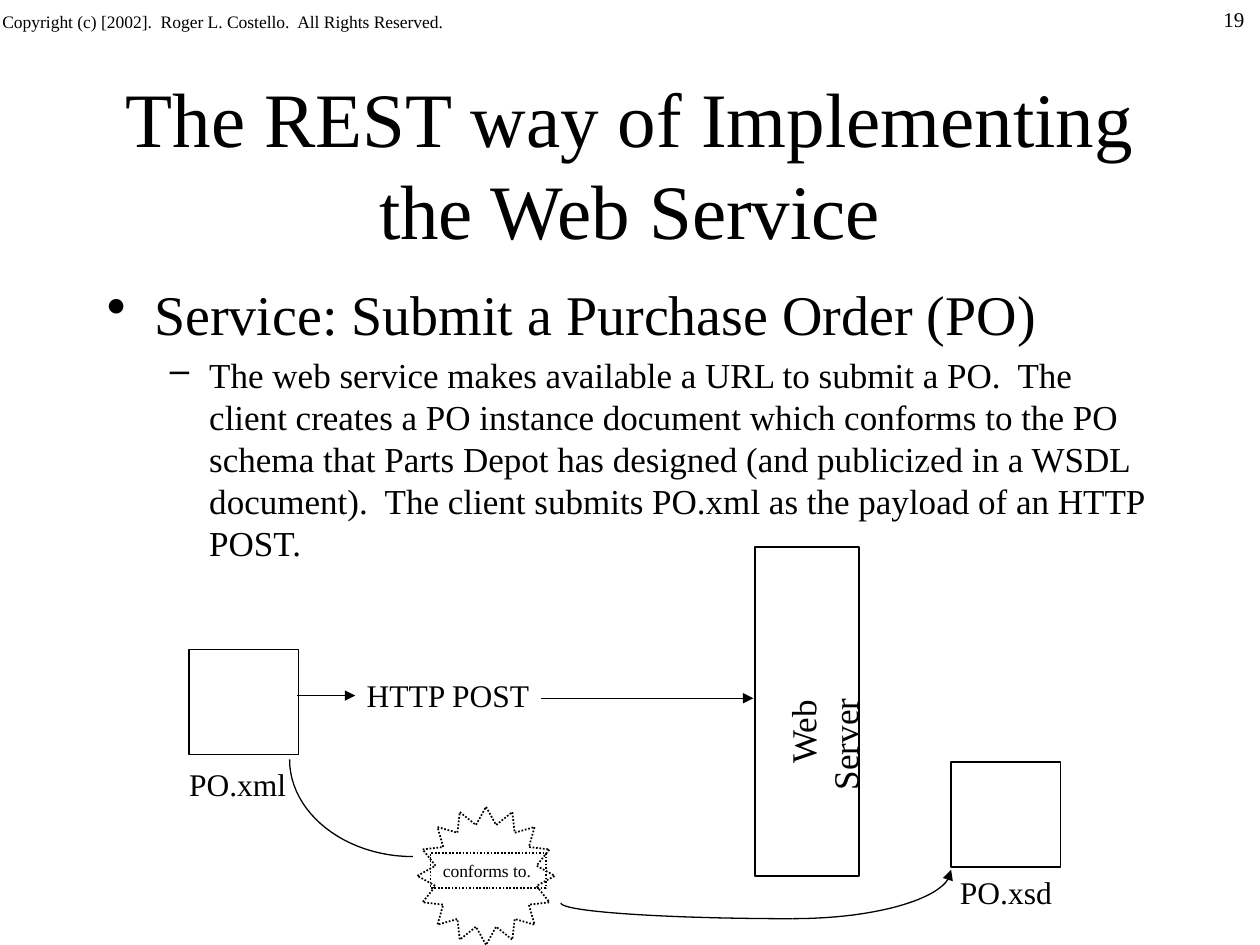
import pptx
import pptx.util
import pptx.dml.color
import pptx.enum.dml
import pptx.enum.shapes
import pptx.enum.text
import pptx.oxml.ns
import lxml.etree

Pt = pptx.util.Pt
Kind = pptx.enum.shapes.MSO_SHAPE
Align = pptx.enum.text.PP_ALIGN
BLACK = pptx.dml.color.RGBColor(0, 0, 0)
WHITE = pptx.dml.color.RGBColor(255, 255, 255)
FONT = "Times New Roman"


def add_sub(node, tag, **attrs):
    """Append a drawing element to an XML node."""
    return lxml.etree.SubElement(node, pptx.oxml.ns.qn(tag), attrs)


def write(para, text, size):
    """Add one styled run to a paragraph."""
    run = para.add_run()
    run.text = text
    run.font.size = Pt(size)
    run.font.name = FONT
    run.font.color.rgb = BLACK


def add_text(shapes, box, text, size, wrap=False):
    """Add a text box with one paragraph."""
    label = shapes.add_textbox(*map(Pt, box))
    label.text_frame.word_wrap = wrap
    write(label.text_frame.paragraphs[0], text, size)
    return label


def draw_line(line, width, dots=False, head=False):
    """Style an outline, with dots or an arrowhead if asked."""
    line.color.rgb = BLACK
    line.width = Pt(width)
    if dots:
        line.dash_style = pptx.enum.dml.MSO_LINE.ROUND_DOT
    if head:
        add_sub(line._get_or_add_ln(), "a:tailEnd", type="triangle")


def add_box(shapes, kind, box, width, dots=False, fill=True):
    """Add an outlined preset shape."""
    shape = shapes.add_shape(kind, *map(Pt, box))
    shape.shadow.inherit = False
    if fill:
        shape.fill.solid()
        shape.fill.fore_color.rgb = WHITE
    else:
        shape.fill.background()
    draw_line(shape.line, width, dots)
    return shape


def add_arrow(shapes, left, right, y):
    """Add a level arrow."""
    arrow = shapes.add_connector(
        pptx.enum.shapes.MSO_CONNECTOR.STRAIGHT, Pt(left), Pt(y), Pt(right), Pt(y))
    add_sub(arrow._element.spPr, "a:effectLst")
    draw_line(arrow.line, 0.75, head=True)


def add_curve(shapes, start, bend, end, head=False, steps=24):
    """Add a quarter ellipse that bends toward a corner point."""
    pull = 0.55
    first = [a + pull * (b - a) for a, b in zip(start, bend)]
    last = [a + pull * (b - a) for a, b in zip(end, bend)]
    points = []
    for step in range(steps + 1):
        t = step / steps
        u = 1 - t
        points.append([
            Pt(u**3 * a + 3 * u * u * t * b + 3 * u * t * t * c + t**3 * d)
            for a, b, c, d in zip(start, first, last, end)])
    pen = shapes.build_freeform(*points[0])
    pen.add_line_segments(points[1:], close=False)
    curve = pen.convert_to_shape()
    curve.shadow.inherit = False
    curve.fill.background()
    draw_line(curve.line, 0.75, head=head)


def add_point(para, text, size, mark, left, hang):
    """Fill a paragraph as a bullet point."""
    props = para._p.get_or_add_pPr()
    props.set("marL", str(Pt(left)))
    props.set("indent", str(-Pt(hang)))
    para.space_before = Pt(size * 0.2)
    add_sub(props, "a:buChar", char=mark)
    write(para, text, size)


def add_head(shapes):
    """Add the top line, the title and the bullet points."""
    note = add_text(
        shapes, (1.4, 6.5, 260, 12),
        "Copyright (c) [2002].  Roger L. Costello.  All Rights Reserved.", 10)
    frame = note.text_frame
    frame.margin_left = frame.margin_top = frame.margin_right = frame.margin_bottom = 0
    add_text(shapes, (692, 0, 28, 21.6), "19", 12)
    title = add_text(
        shapes, (54, 48, 612, 90), "The REST way of Implementing the Web Service", 44, True)
    title.text_frame.vertical_anchor = pptx.enum.text.MSO_ANCHOR.MIDDLE
    title.text_frame.paragraphs[0].alignment = Align.CENTER
    frame = shapes.add_textbox(Pt(54), Pt(156), Pt(612), Pt(171)).text_frame
    frame.word_wrap = True
    add_point(frame.paragraphs[0], "Service: Submit a Purchase Order (PO)", 32, "•", 27, 27)
    para = frame.add_paragraph()
    para.level = 1
    add_point(
        para,
        "The web service makes available a URL to submit a PO.  The client creates "
        "a PO instance document which conforms to the PO schema that Parts Depot has "
        "designed (and publicized in a WSDL document).  The client submits PO.xml as "
        "the payload of an HTTP POST.", 20, "–", 58.5, 22.5)


def add_server(shapes):
    """Add the server block with its upright label."""
    group = shapes.add_group_shape().shapes
    add_box(group, Kind.RECTANGLE, (431.5, 312.5, 59.5, 188), 1)
    label = add_text(group, (432.4, 395, 74, 53), "Web Server", 20, True)
    label.rotation = 270
    label.text_frame.paragraphs[0]._p.get_or_add_pPr().set("indent", str(Pt(15)))


def add_star(shapes):
    """Add the dotted star with its boxed label."""
    group = shapes.add_group_shape().shapes
    star = add_box(group, Kind.STAR_16_POINT, (238.5, 461, 78.5, 79), 1, True)
    star.adjustments[0] = 0.375
    plate = add_box(group, Kind.RECTANGLE, (246, 487.5, 66, 20), 1, True, False)
    frame = plate.text_frame
    frame.word_wrap = False
    frame.paragraphs[0].alignment = Align.LEFT
    write(frame.paragraphs[0], "conforms to.", 10)


def main():
    """Build and save the slide."""
    deck = pptx.Presentation()
    deck.slide_width, deck.slide_height = Pt(720), Pt(540)
    shapes = deck.slides.add_slide(deck.slide_layouts[6]).shapes
    add_head(shapes)
    add_server(shapes)
    add_box(shapes, Kind.RECTANGLE, (543.5, 435.5, 62.5, 60), 0.75)
    add_text(shapes, (541.5, 495.5, 67, 29), "PO.xsd", 18)
    add_box(shapes, Kind.RECTANGLE, (108, 371, 62.5, 60), 0.75)
    add_text(shapes, (101, 433.5, 70, 29), "PO.xml", 18)
    add_text(shapes, (202.5, 382.5, 108, 29), "HTTP POST", 18)
    add_arrow(shapes, 170, 203, 397.5)
    add_arrow(shapes, 309, 430.5, 399)
    add_star(shapes)
    add_curve(shapes, (236, 489.5), (165.5, 489.5), (165.5, 434))
    add_curve(shapes, (453, 525), (543.5, 525), (543.5, 497), True)
    add_curve(shapes, (453, 525), (320.5, 525), (320.5, 516))
    deck.save("out.pptx")


if __name__ == "__main__":
    main()
